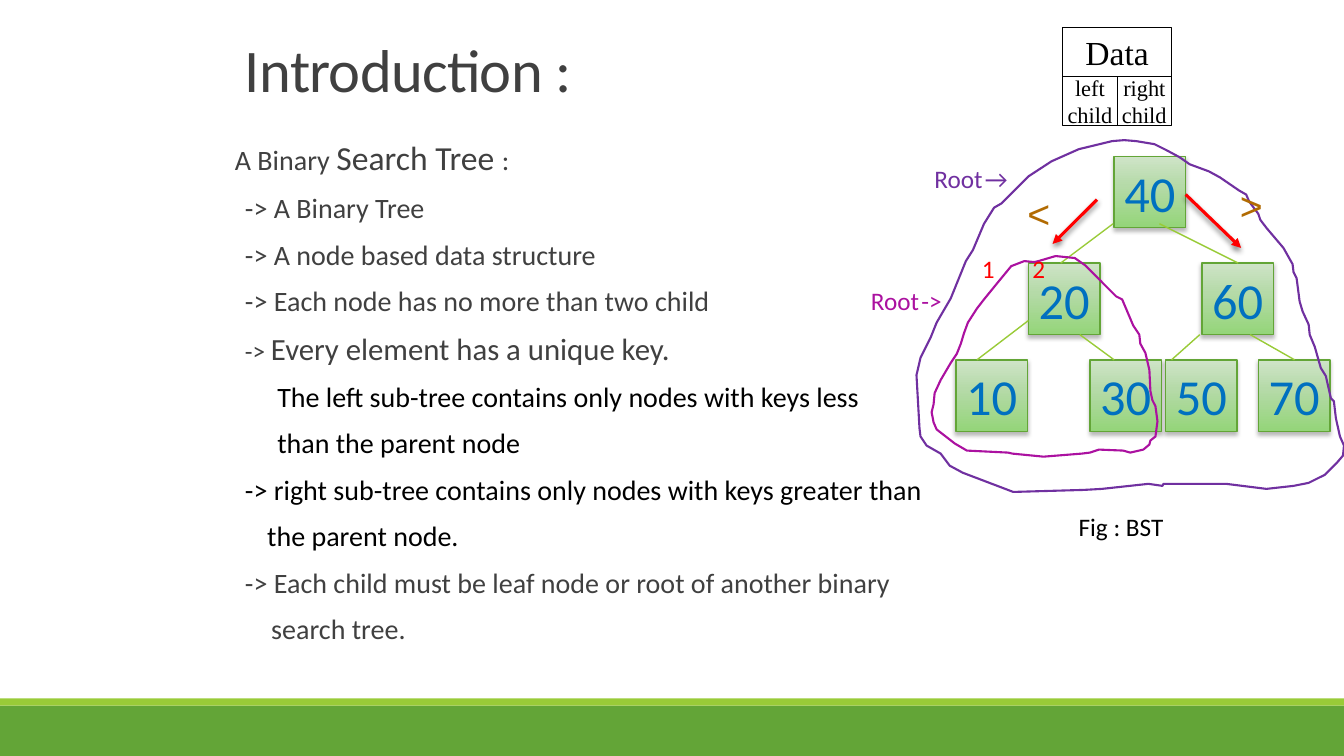
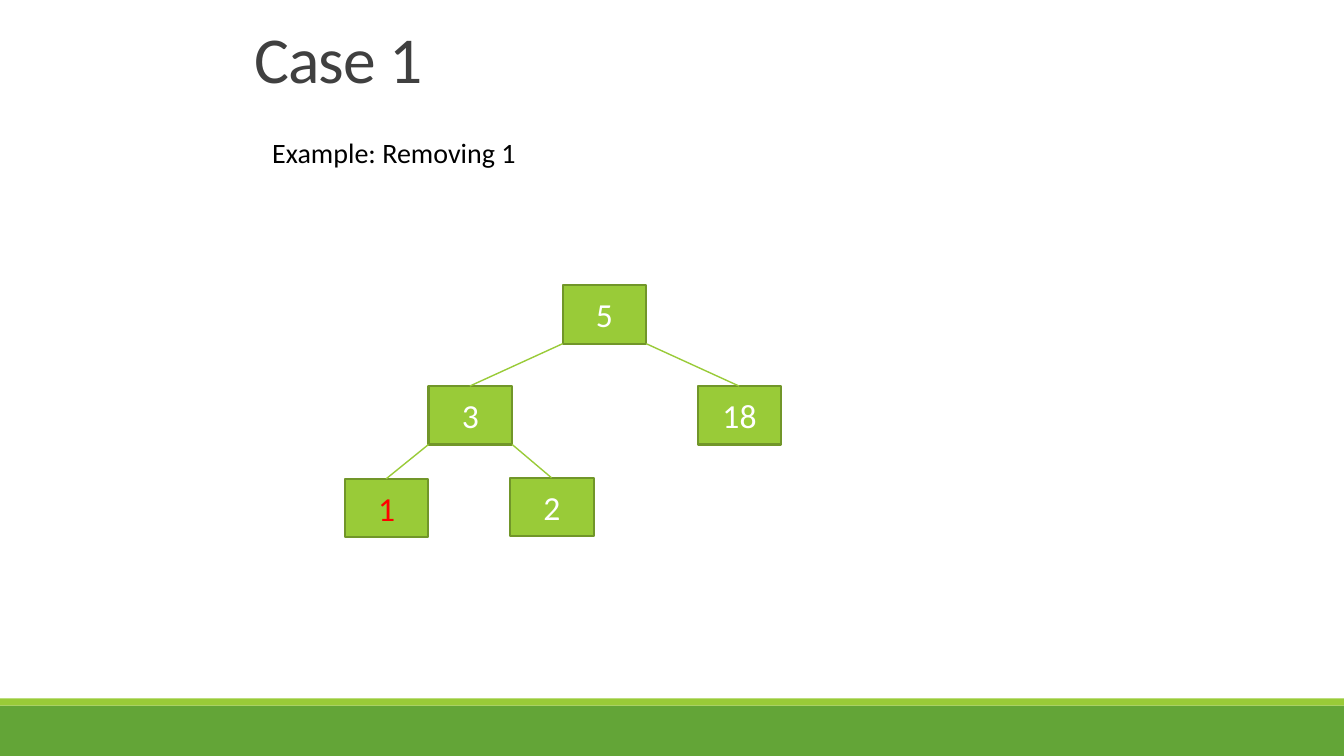
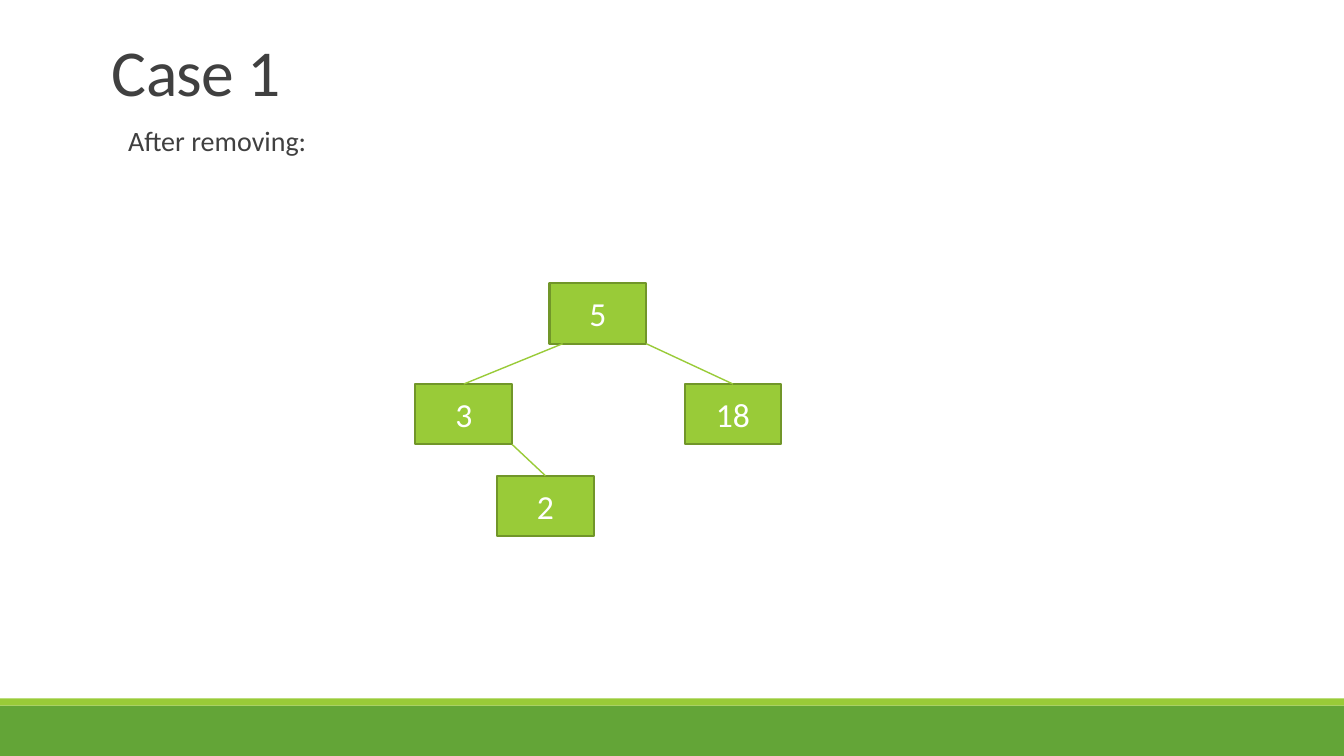
from dataclasses import dataclass

from lxml.etree import SubElement
from pptx import Presentation
from pptx.dml.color import RGBColor
from pptx.enum.shapes import MSO_CONNECTOR, MSO_SHAPE
from pptx.enum.text import MSO_ANCHOR, MSO_AUTO_SIZE, PP_ALIGN
from pptx.oxml.ns import qn
from pptx.util import Pt

PX = 9144  # EMU in one px, 100 px to the inch
WIDTH, HEIGHT = 1333, 750


@dataclass(frozen=True)
class Theme:
    font: str = "Calibri"
    serif: str = "Times New Roman"
    sans: str = "Arial"
    ink: str = "404040"
    black: str = "000000"
    white: str = "FFFFFF"
    green: str = "63A537"
    lime: str = "99CB38"
    olive: str = "719629"
    blue: str = "0070C0"
    red: str = "FF0000"
    purple: str = "7030A0"
    magenta: str = "AB11A0"
    brown: str = "B26B02"
    gradient: tuple = ((0, "CFE4C8"), (41, "B5DAA8"), (100, "94D579"))
    intro_title: float = 43.2
    title: float = 46.8
    key: int = 36
    sign: int = 28
    head: int = 24
    lead: int = 22
    body: int = 20
    label: int = 18
    small: int = 16


T = Theme()

BANDS = [((0, 700, WIDTH, 50), T.green), ((0, 693, WIDTH, 7), T.lime)]

# Body lines: indent, then runs of (text, size, colour)
INTRO = [
    (0, [("A Binary ", T.body, T.ink), ("Search Tree ", T.head, T.ink), (":", T.body, T.ink)]),
    (10, [("-> A Binary Tree", T.body, T.ink)]),
    (10, [("-> A node based data structure", T.body, T.ink)]),
    (10, [("-> Each node has no more than two child", T.body, T.ink)]),
    (10, [("-> ", T.label, T.ink), ("Every element has a unique key.", T.lead, T.ink)]),
    (42, [("The left sub-tree contains only nodes with keys less", T.body, T.black)]),
    (42, [("than the parent node", T.body, T.black)]),
    (10, [("-> right sub-tree contains only nodes with keys greater than", T.body, T.black)]),
    (32, [("the parent node.", T.body, T.black)]),
    (10, [("-> Each child must be leaf node or root of another binary", T.body, T.ink)]),
    (36, [("search tree.", T.body, T.ink)]),
]

BST_KEYS = {"40": (1105, 155), "20": (1020, 261), "60": (1192, 261), "10": (948, 357),
            "30": (1081, 357), "50": (1156, 357), "70": (1248, 357)}
BST_SIZE = 71
BST_EDGES = [((1104, 222), (1052, 261)), ((1150, 222), (1228, 261)),
             ((1020, 318), (969, 357)), ((1071, 332), (1105, 357)),
             ((1190, 332), (1162, 357)), ((1240, 332), (1284, 357))]
BST_ARROWS = [((1088, 198), (1044, 242)), ((1176, 193), (1231, 246))]

NODE_CELLS = [((1054, 27, 108, 49), ["Data"], T.head),
              ((1108, 76, 54, 49), ["right", "child"], T.small),
              ((1054, 76, 54, 49), ["left", "child"], T.small)]

# Box, text, colour, size, font, tab stop
LABELS = [
    ((964, 246, 329, 40), "1\t2", T.red, T.label, T.font, 289),
    ((917, 157, 183, 40), "Root\t→", T.purple, T.label, T.font, 120),
    ((854, 278, 171, 40), "Root\t->", T.magenta, T.label, T.font, 121),
    ((1060, 502, 151, 40), "Fig : BST", T.black, T.label, T.font, None),
    ((1009, 183, 41, 57), "<", T.brown, T.sign, T.sans, None),
    ((1220, 175, 43, 57), ">", T.brown, T.sign, T.sans, None),
]

TREE_LOOP = [
    (1103, 140), (1070, 148), (1043, 160), (1020, 175), (993, 202), (986, 206), (976, 222),
    (965, 248), (958, 259), (943, 296), (929, 320), (923, 335), (913, 355), (910, 368),
    (909, 372), (912, 425), (913, 433), (919, 442), (933, 450), (942, 462), (955, 469),
    (1005, 488), (1075, 486), (1093, 485), (1139, 480), (1153, 482), (1154, 480),
    (1216, 480), (1256, 485), (1283, 482), (1298, 479), (1314, 471), (1326, 459),
    (1332, 452), (1333, 442), (1329, 433), (1325, 415), (1323, 398), (1320, 395),
    (1315, 373), (1310, 365), (1304, 344), (1299, 332), (1298, 322), (1292, 309),
    (1289, 299), (1286, 276), (1283, 270), (1282, 262), (1273, 246), (1256, 226),
    (1250, 218), (1248, 212), (1239, 200), (1236, 193), (1229, 189), (1210, 176),
    (1199, 170), (1180, 163), (1170, 156), (1157, 149), (1149, 145), (1145, 143),
    (1127, 140), (1115, 139),
]
SUBTREE_LOOP = [
    (1016, 259), (1003, 264), (989, 281), (976, 297), (969, 306), (960, 320), (956, 331),
    (953, 341), (949, 351), (943, 360), (933, 377), (927, 390), (926, 401), (924, 409),
    (926, 419), (929, 426), (947, 440), (959, 447), (1000, 449), (1004, 450), (1035, 453),
    (1073, 450), (1081, 449), (1090, 446), (1114, 447), (1121, 449), (1134, 446),
    (1140, 441), (1141, 437), (1146, 433), (1148, 418), (1146, 403), (1143, 397),
    (1141, 388), (1140, 367), (1136, 350), (1131, 341), (1130, 332), (1124, 323),
    (1113, 297), (1107, 294), (1084, 271), (1076, 263), (1066, 256), (1047, 254),
    (1030, 259), (1026, 260),
]
LOOPS = [(TREE_LOOP, T.purple), (SUBTREE_LOOP, T.magenta)]

# inset: how far a left edge starts inside its parent's corner
CASES = [
    dict(title="Case 1", title_box=(242, 25, 850, 100),
         text="Example: Removing 1", text_box=(250, 133, 842, 583), color=T.black,
         size=(83, 58), inset=0, removed="1",
         nodes={"5": (558, 283), "3": (425, 383), "18": (692, 383),
                "1": (342, 475), "2": (506, 474)},
         edges=[("3", "5"), ("1", "3"), ("2", "3"), ("18", "5")]),
    dict(title="Case 1", title_box=(101, 38, 982, 104),
         text="After removing:", text_box=(107, 121, 1001, 596), color=T.ink,
         size=(96, 60), inset=13, removed=None,
         nodes={"5": (545, 281), "3": (412, 381), "18": (679, 381), "2": (493, 472)},
         edges=[("3", "5"), ("2", "3"), ("18", "5")]),
]


def rgb(color):
    return RGBColor.from_string(color)


def emu(box):
    return [v * PX for v in box]


def write(tf, paras, *, font=T.font, align=PP_ALIGN.LEFT, anchor=MSO_ANCHOR.TOP, wrap=True,
          spacing=None, before=0, after=0, tracking=None, tab=None, margin=None):
    """Fill a frame with (indent, [(text, size, colour), ...]) paragraphs."""
    tf.word_wrap, tf.auto_size, tf.vertical_anchor = wrap, MSO_AUTO_SIZE.NONE, anchor
    if margin is not None:
        tf.margin_left = tf.margin_right = margin * PX
    for i, (indent, runs) in enumerate(paras):
        p = tf.add_paragraph() if i else tf.paragraphs[0]
        p.alignment = align
        p.space_before, p.space_after = Pt(before if i else 0), Pt(after)
        if spacing:
            p.line_spacing = spacing
        pPr = p._p.get_or_add_pPr()
        pPr.set("marL", str(indent * PX))
        pPr.set("indent", "0")
        SubElement(pPr, qn("a:buNone"))
        if tab:
            tabs = SubElement(pPr, qn("a:tabLst"))
            SubElement(tabs, qn("a:tab"), pos=str(tab * PX), algn="l")
        for text, size, color in runs:
            r = p.add_run()
            r.text = text
            r.font.name, r.font.size = font, Pt(size)
            r.font.color.rgb = rgb(color)
            if tracking:
                r._r.get_or_add_rPr().set("spc", str(tracking))


def add_shadow(effects, alpha, blur, dist):
    shadow = SubElement(effects, qn("a:outerShdw"), blurRad=str(Pt(blur)), dist=str(Pt(dist)),
                        dir="5400000", rotWithShape="0")
    color = SubElement(shadow, qn("a:srgbClr"), val=T.black)
    SubElement(color, qn("a:alpha"), val=str(alpha * 1000))


def paint(sp, fill=None, line=None, width=1):
    sp.shadow.inherit = False
    if fill:
        sp.fill.solid()
        sp.fill.fore_color.rgb = rgb(fill)
    else:
        sp.fill.background()
    if line:
        sp.line.color.rgb = rgb(line)
        sp.line.width = Pt(width)
    else:
        sp.line.fill.background()


def add_box(slide, box, **look):
    sp = slide.shapes.add_shape(MSO_SHAPE.RECTANGLE, *emu(box))
    paint(sp, **look)
    return sp


def add_line(slide, start, end, color=T.lime, width=1):
    line = slide.shapes.add_connector(MSO_CONNECTOR.STRAIGHT, *emu(start + end))
    line.line.color.rgb = rgb(color)
    line.line.width = Pt(width)
    return line, SubElement(line._element.spPr, qn("a:effectLst"))


def add_arrow(slide, start, end):
    line, effects = add_line(slide, start, end, T.red, 2.25)
    SubElement(line.line._get_or_add_ln(), qn("a:tailEnd"), type="triangle")
    add_shadow(effects, 47, 4, 2.5)


def add_loop(slide, points, color):
    builder = slide.shapes.build_freeform(*points[0], scale=PX)
    builder.add_line_segments(points[1:], close=True)
    paint(builder.convert_to_shape(), line=color, width=1.5)


def add_key(slide, key, x, y):
    """Draw one shaded node of the search tree."""
    sp = add_box(slide, (x, y, BST_SIZE, BST_SIZE), line=T.green)
    sp.fill.gradient()
    sp.fill.gradient_angle = 270
    spPr = sp._element.spPr
    stops = spPr.find(".//" + qn("a:gsLst"))
    stops.clear()
    for pos, color in T.gradient:
        stop = SubElement(stops, qn("a:gs"), pos=str(pos * 1000))
        SubElement(stop, qn("a:srgbClr"), val=color)
    add_shadow(spPr.find(qn("a:effectLst")), 28, 3, 2)
    write(sp.text_frame, [(0, [(key, T.key, T.blue)])], wrap=False,
          align=PP_ALIGN.CENTER, anchor=MSO_ANCHOR.MIDDLE)


def add_slide(prs, title, title_box, title_size, paras, body_box, spacing,
              anchor=MSO_ANCHOR.TOP, margin=10):
    slide = prs.slides.add_slide(prs.slide_layouts[1])
    head, body = slide.placeholders
    for sp, box in ((head, title_box), (body, body_box)):
        sp.left, sp.top, sp.width, sp.height = emu(box)
    write(head.text_frame, [(0, [(title, title_size, T.ink)])], anchor=anchor,
          spacing=0.85, tracking=-50)
    write(body.text_frame, paras, spacing=spacing, before=12, after=2, margin=margin)
    return slide


def add_bands(prs, slide):
    """Draw the bottom bands and move them to the master, behind all else."""
    tree = prs.slide_master.shapes.element
    for i, (box, color) in enumerate(BANDS):
        band = add_box(slide, box, fill=color).element
        band.nvSpPr.cNvPr.id = 20 + i
        tree.insert(2 + i, band)


def add_intro(prs):
    slide = add_slide(prs, "Introduction :", (233, 34, 1100, 75), T.intro_title,
                      INTRO, (233, 139, 1100, 536), 0.8, MSO_ANCHOR.BOTTOM, 0)
    add_bands(prs, slide)
    for key, (x, y) in BST_KEYS.items():
        add_key(slide, key, x, y)
    for start, end in BST_EDGES:
        add_line(slide, start, end)
    for box, lines, size in NODE_CELLS:
        sp = add_box(slide, box, line=T.black, width=0.75)
        write(sp.text_frame, [(0, [(text, size, T.black)]) for text in lines], font=T.serif,
              align=PP_ALIGN.CENTER, anchor=MSO_ANCHOR.MIDDLE, wrap=False)
    for start, end in BST_ARROWS:
        add_arrow(slide, start, end)
    for points, color in LOOPS:
        add_loop(slide, points, color)
    for box, text, color, size, font, tab in LABELS:
        tf = slide.shapes.add_textbox(*emu(box)).text_frame
        write(tf, [(0, [(text, size, color)])], font=font, tab=tab)


def add_case(prs, case):
    paras = [(10, [(case["text"], T.body, case["color"])])]
    slide = add_slide(prs, case["title"], case["title_box"], T.title,
                      paras, case["text_box"], 0.9)
    nodes, (w, h) = case["nodes"], case["size"]
    for key, (x, y) in nodes.items():
        sp = add_box(slide, (x, y, w, h), fill=T.lime, line=T.olive, width=1.5)
        color = T.red if key == case["removed"] else T.white
        write(sp.text_frame, [(0, [(key, T.head, color)])],
              align=PP_ALIGN.CENTER, anchor=MSO_ANCHOR.MIDDLE)
    for child, parent in case["edges"]:
        (cx, cy), (px, py) = nodes[child], nodes[parent]
        corner = px + case["inset"] if cx < px else px + w
        add_line(slide, (cx + w // 2, cy), (corner, py + h))


def main():
    prs = Presentation()
    prs.slide_width, prs.slide_height = emu((WIDTH, HEIGHT))
    add_intro(prs)
    for case in CASES:
        add_case(prs, case)
    prs.save("out.pptx")


if __name__ == "__main__":
    main()
